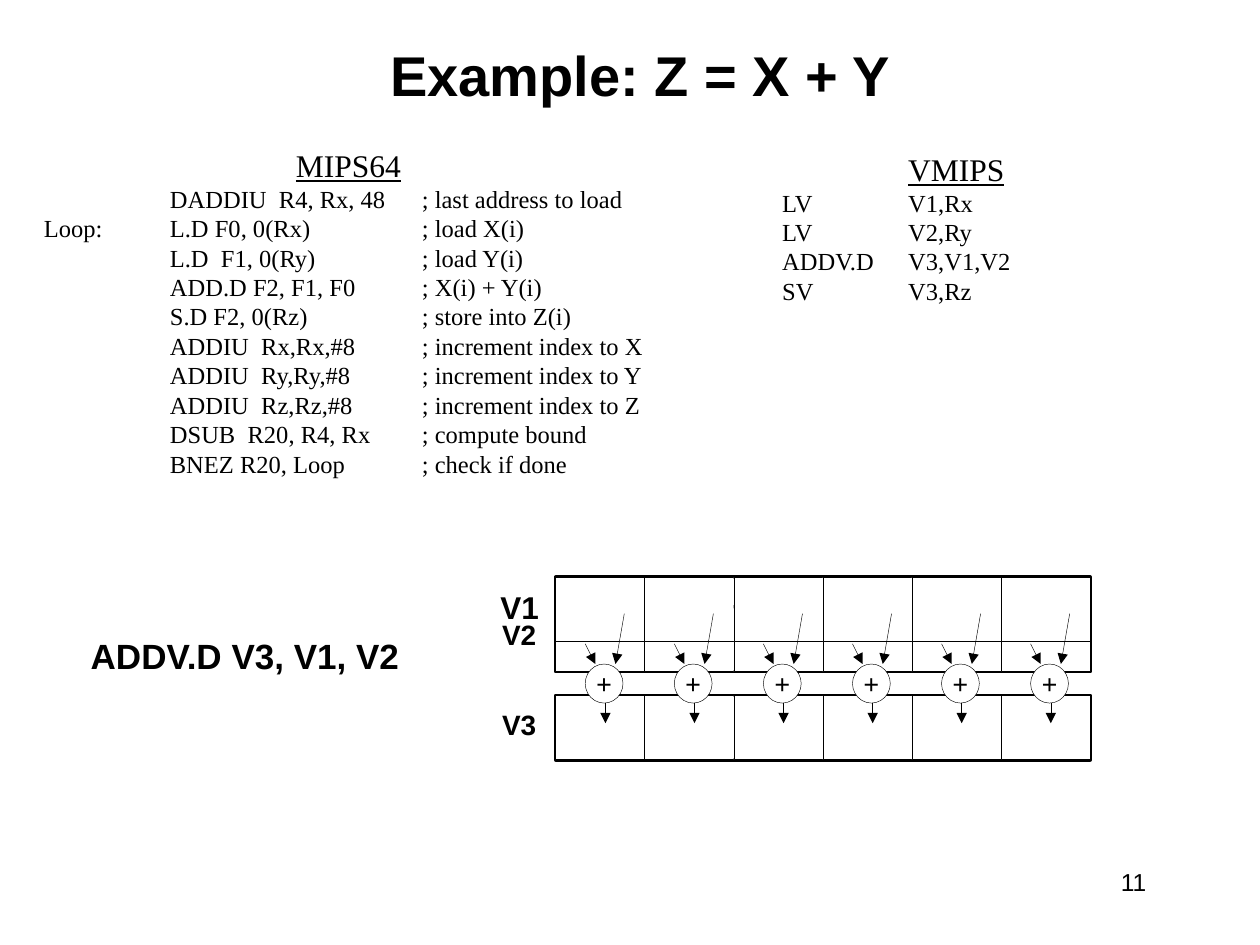
from lxml import etree
from pptx import Presentation
from pptx.dml.color import RGBColor
from pptx.enum import shapes, text
from pptx.oxml import ns
from pptx.util import Inches, Pt

BLACK = RGBColor(0, 0, 0)
WHITE = RGBColor(255, 255, 255)
SANS, SERIF = "Arial", "Times New Roman"
MID = text.MSO_ANCHOR.MIDDLE
LEFT, CENTER, RIGHT = text.PP_ALIGN.LEFT, text.PP_ALIGN.CENTER, text.PP_ALIGN.RIGHT

deck = Presentation()
deck.slide_width, deck.slide_height = Inches(10), Inches(7.5)
slide = deck.slides.add_slide(deck.slide_layouts[5])


def write(shape, words, size, face=SANS, bold=True, align=CENTER, anchor=MID, wrap=True):
    frame = shape.text_frame
    frame.text = words
    frame.word_wrap = wrap
    frame.vertical_anchor = anchor
    for para in frame.paragraphs:
        para.alignment = align
        for run in para.runs:
            font = run.font
            font.name, font.size, font.bold = face, Pt(size), bold
            font.color.rgb = BLACK
    return frame


def draw(parent, kind, spot, width):
    shape = parent.add_shape(kind, *map(Inches, spot))
    shape.shadow.inherit = False
    shape.fill.solid()
    shape.fill.fore_color.rgb = WHITE
    shape.line.color.rgb = BLACK
    shape.line.width = Pt(width)
    return shape


# Title and page number
title = slide.shapes.title
title.left, title.top, title.width, title.height = map(Inches, (1.17, 0, 7.83, 1.25))
frame = write(title, "Example: Z = X + Y", 32)
frame.auto_size = text.MSO_AUTO_SIZE.NONE
frame.paragraphs[0].line_spacing = 0.9
page = slide.shapes.add_textbox(*map(Inches, (7.17, 6.83, 2.08, 0.5)))
write(page, "11 ", 14, bold=False, align=RIGHT, anchor=text.MSO_ANCHOR.TOP)

# Vector registers: thick frames, then six cells in each
LANES, LEFT_X, CELL, TALL = 6, 4.41, 0.707, 0.51
ROWS = {"V3": 5.52, "V2": 4.82, "V1": 4.58}
RECT = shapes.MSO_SHAPE.RECTANGLE
order = [ROWS["V3"], ROWS["V1"], ROWS["V2"]]
for top in order:
    draw(slide.shapes, RECT, (LEFT_X, top, LANES * CELL, TALL), 2.25)
for top in ROWS.values():
    for lane in range(LANES):
        draw(slide.shapes, RECT, (LEFT_X + lane * CELL, top, CELL, TALL), 0.25)

# One adder per lane, with two inputs and one output
ARROWS = [(0, 5.11, 0.08, 5.27), (0.31, 4.87, 0.24, 5.27), (0.16, 5.58, 0.16, 5.74)]
for lane in range(LANES):
    x = 4.645 + lane * CELL
    adder = slide.shapes.add_group_shape().shapes
    plus = draw(adder, shapes.MSO_SHAPE.OVAL, (x, 5.27, 0.3, 0.31), 0.25)
    frame = write(plus, "+", 16, SERIF)
    frame.margin_left = frame.margin_right = frame.margin_top = frame.margin_bottom = 0
    for x1, y1, x2, y2 in ARROWS:
        ends = map(Inches, (x + x1, y1, x + x2, y2))
        arrow = adder.add_connector(shapes.MSO_CONNECTOR.STRAIGHT, *ends)
        arrow.line.color.rgb = BLACK
        arrow.line.width = Pt(0.25)
        etree.SubElement(arrow.line._get_or_add_ln(), ns.qn("a:tailEnd"), type="triangle")
        etree.SubElement(arrow._element.spPr, ns.qn("a:effectLst"))

# Labels beside the registers
for words, size, wrap, spot in [
    ("ADDV.D V3, V1, V2", 20, True, (0.53, 4.98, 2.83, 0.44)),
    ("V3", 16, False, (3.88, 5.56, 0.48, 0.37)),
    ("V2", 16, False, (3.88, 4.85, 0.48, 0.37)),
    ("V1", 18, False, (3.87, 4.62, 0.51, 0.4)),
]:
    write(slide.shapes.add_textbox(*map(Inches, spot)), words, size, wrap=wrap)

# Code listings, aligned on tab stops one inch apart
MIPS = [
    "\tDADDIU  R4, Rx, 48\t; last address to load",
    "Loop:  \tL.D F0, 0(Rx)\t; load X(i)",
    "\tL.D  F1, 0(Ry)\t; load Y(i)",
    "\tADD.D F2, F1, F0\t; X(i) + Y(i)",
    "\tS.D F2, 0(Rz)\t; store into Z(i)",
    "\tADDIU  Rx,Rx,#8\t; increment index to X",
    "\tADDIU  Ry,Ry,#8\t; increment index to Y",
    "\tADDIU  Rz,Rz,#8\t; increment index to Z",
    "\tDSUB  R20, R4, Rx \t; compute bound",
    "\tBNEZ R20, Loop\t; check if done",
]
VMIPS = ["LV\tV1,Rx", "LV\tV2,Ry", "ADDV.D\tV3,V1,V2", "SV\tV3,Rz"]
for tabs, head, code, stops, spot in [
    ("\t\t", "MIPS64", MIPS, {0: (1, 2)}, (0.25, 1.11, 5.82, 3.37)),
    ("\t", "VMIPS", VMIPS, {0: (1,)}, (6.11, 1.14, 3.52, 1.65)),
]:
    box = slide.shapes.add_textbox(*map(Inches, spot))
    frame = write(box, "\n".join([tabs] + code), 14, SERIF, False, LEFT, text.MSO_ANCHOR.TOP)
    for row, para in enumerate(frame.paragraphs):
        tablist = etree.SubElement(para._p.get_or_add_pPr(), ns.qn("a:tabLst"))
        # A code row keeps its comment at the third inch
        for inch in stops.get(row, (1, 3)):
            etree.SubElement(tablist, ns.qn("a:tab"), pos=str(Inches(inch)), algn="l")
    first = frame.paragraphs[0]
    name = first.add_run()
    name.text = head
    name.font.name, name.font.underline = SERIF, True
    name.font.color.rgb = BLACK
    for run in first.runs:
        run.font.size = Pt(18)

deck.save("out.pptx")
